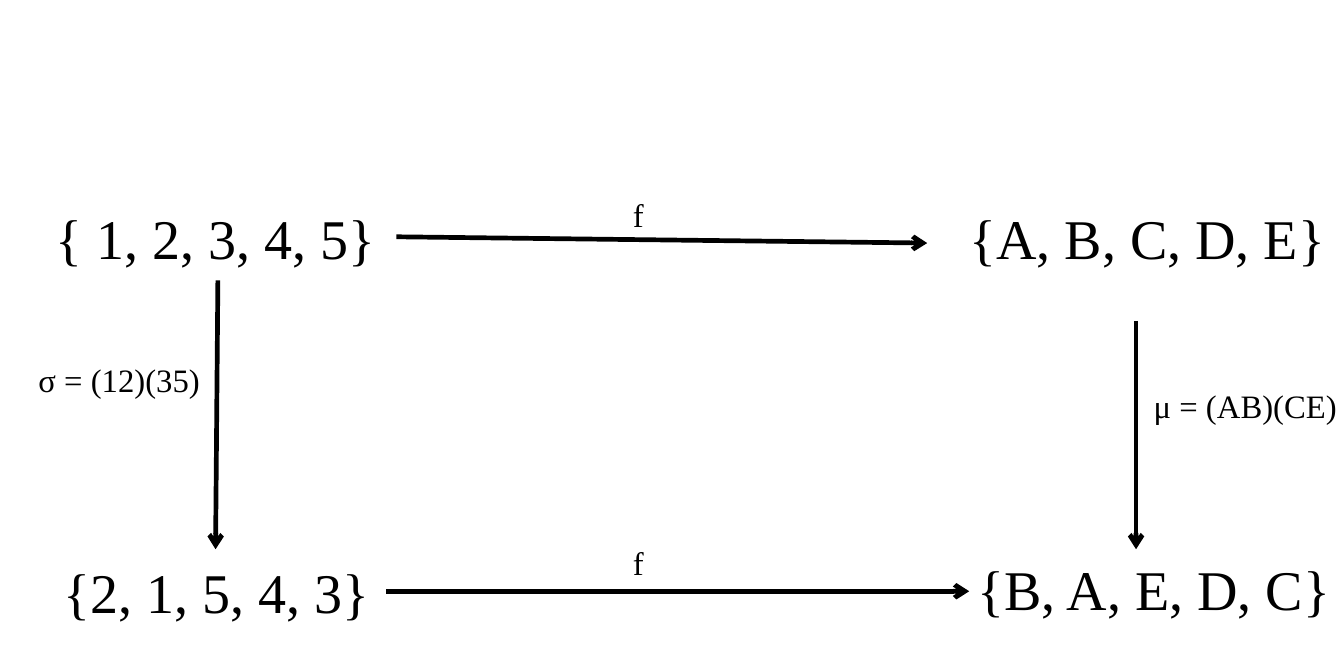
from lxml import etree
from pptx import Presentation
from pptx.dml.color import RGBColor
from pptx.enum import shapes, text
from pptx.oxml import ns
from pptx.util import Pt

COLORS = {"ink": "000000", "paper": "FFFFFF"}
FONT = "Times New Roman"
SET_HEIGHT = 36
LABEL_HEIGHT = 24.5


def add_text(slide, content, left, top, width, height, *, size=14,
             align=text.PP_ALIGN.LEFT):
    box = slide.shapes.add_textbox(Pt(left), Pt(top), Pt(width), Pt(height))
    frame = box.text_frame
    frame.word_wrap = False
    frame.auto_size = text.MSO_AUTO_SIZE.SHAPE_TO_FIT_TEXT
    paragraph = frame.paragraphs[0]
    paragraph.alignment = align
    run = paragraph.add_run()
    run.text = content
    run.font.name = FONT
    run.font.size = Pt(size)
    run.font.color.rgb = RGBColor.from_string(COLORS["ink"])


def add_arrow(slide, start, end):
    arrow = slide.shapes.add_connector(
        shapes.MSO_CONNECTOR.STRAIGHT, *(Pt(value) for value in (*start, *end)))
    arrow.line.color.rgb = RGBColor.from_string(COLORS["ink"])
    arrow.line.width = Pt(2)
    etree.SubElement(arrow.line._ln, ns.qn("a:tailEnd"), type="arrow")
    etree.SubElement(arrow._element.spPr, ns.qn("a:effectLst"))


def draw_mapping(slide, top, domain, image, arrow, label_offset):
    """Draw a row: domain set, arrow f, image set.

    Sets are (elements, left, width, alignment, offset from top);
    the arrow's heights and the label offset also count from top.
    """
    for elements, left, width, align, offset in (domain, image):
        add_text(slide, elements, left, top + offset, width, SET_HEIGHT,
                 size=24, align=align)
    (start_x, start_y), (end_x, end_y) = arrow
    add_arrow(slide, (start_x, top + start_y), (end_x, top + end_y))
    add_text(slide, "f", 264.2, top + label_offset, 19.4, LABEL_HEIGHT)


def draw_permutation(slide, start, end, label, label_left, label_drop, label_width):
    """Draw a downward arrow with its label placed relative to the start."""
    add_arrow(slide, start, end)
    add_text(slide, label, start[0] + label_left, start[1] + label_drop,
             label_width, LABEL_HEIGHT)


def main():
    deck = Presentation()
    deck.slide_width, deck.slide_height = Pt(576), Pt(288)
    slide = deck.slides.add_slide(deck.slide_layouts[6])
    slide.background.fill.solid()
    slide.background.fill.fore_color.rgb = RGBColor.from_string(COLORS["paper"])

    left, center = text.PP_ALIGN.LEFT, text.PP_ALIGN.CENTER
    draw_mapping(slide, 83.5,
                 ("{ 1, 2, 3, 4, 5}", 16.6, 152.6, left, 0),
                 ("{A, B, C, D, E}", 407.5, 168.5, center, 0),
                 ((169.9, 18), (397.4, 20.7)), -3.6)
    draw_mapping(slide, 234,
                 ("{2, 1, 5, 4, 3}", 19.4, 146.9, center, 1.5),
                 ("{B, A, E, D, C}", 411.1, 167, center, 0),
                 ((165.6, 19.4), (415.4, 19.4)), -5)

    draw_permutation(slide, (93.4, 120.2), (92.4, 235.4), "σ = (12)(35)", -84, 30.3, 84.2)
    draw_permutation(slide, (486.9, 137.5), (486.9, 235.4), "μ = (AB)(CE)", 0.5, 24.5, 93.6)

    deck.save("out.pptx")


if __name__ == "__main__":
    main()
